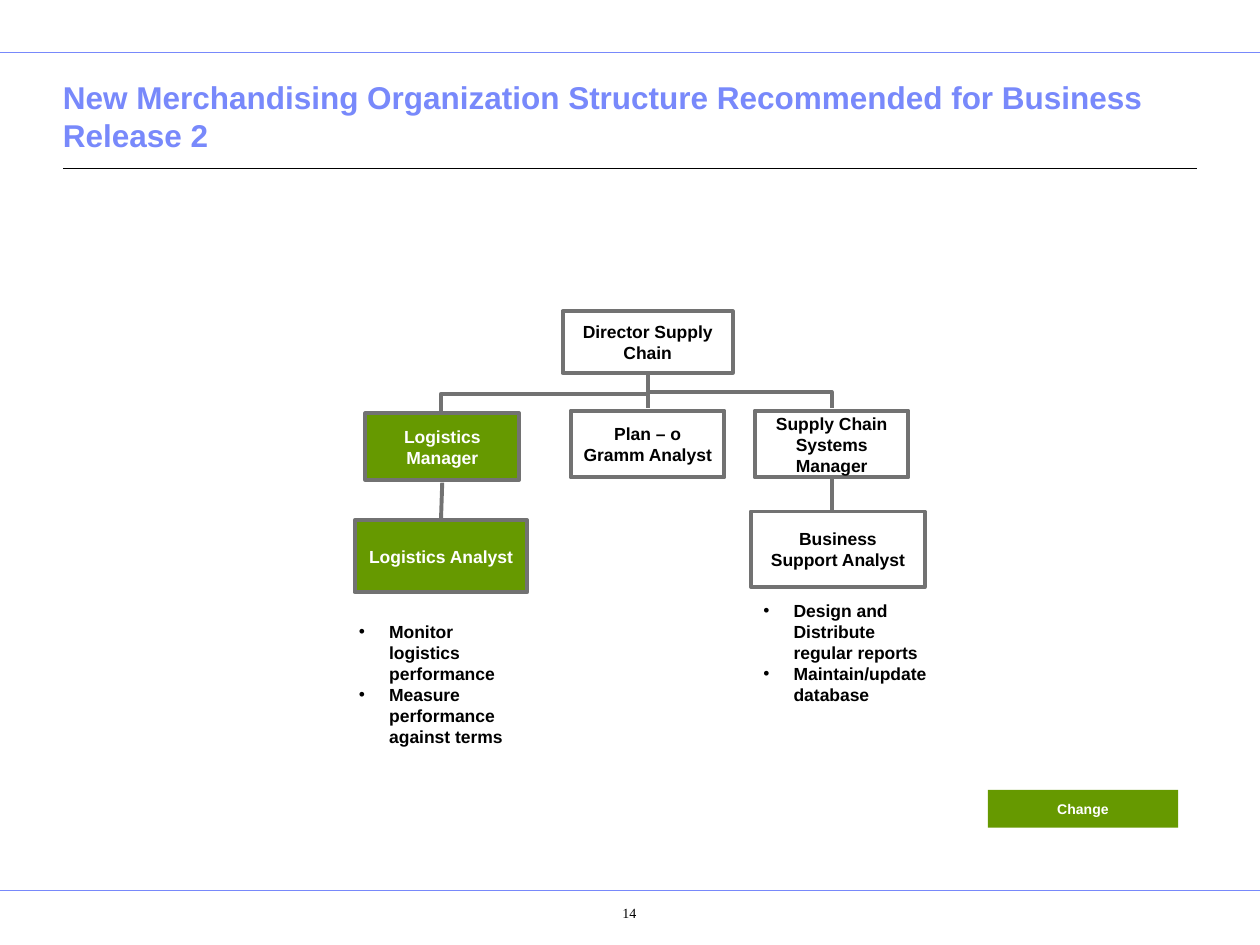
from dataclasses import dataclass

from lxml.etree import SubElement
from pptx import Presentation
from pptx.dml.color import RGBColor
from pptx.enum.shapes import MSO_CONNECTOR as CONN, MSO_SHAPE as SHAPE
from pptx.enum.text import MSO_ANCHOR as ANCHOR, PP_ALIGN as ALIGN
from pptx.oxml.ns import qn
from pptx.util import Inches, Pt


@dataclass(frozen=True)
class Theme:
    accent: str = "7889FB"
    changed: str = "669900"
    border: str = "727272"
    dark: str = "000000"
    light: str = "FFFFFF"
    font: str = "Arial"
    number_font: str = "Times New Roman"
    title_size: int = 18
    body_size: int = 10
    small_size: int = 8
    border_width: float = 2.25


T = Theme()
WIDTH, HEIGHT = 10, 7.5
MARGIN = 0.05 * WIDTH
INSETS = (0.1, 0.05, 0.1, 0.05)
BULLET_INDENT = 0.24

TITLE = "New Merchandising Organization Structure Recommended for Business Release 2"
PAGE_NUMBER = "14"

# Column centres of the chart
LEFT, MIDDLE, RIGHT = 3.5, 5.14, 6.6
MANAGER_SIZE = (1.22, 0.53)

# name: (centre x, top, (width, height), changed)
BOXES = {
    "Director Supply Chain": (MIDDLE, 2.47, (1.35, 0.49), False),
    "Logistics Manager": (LEFT + 0.01, 3.28, MANAGER_SIZE, True),
    "Plan – o Gramm Analyst": (MIDDLE, 3.26, MANAGER_SIZE, False),
    "Supply Chain Systems Manager": (RIGHT, 3.26, MANAGER_SIZE, False),
    "Logistics Analyst": (LEFT, 4.13, (1.37, 0.57), True),
    "Business Support Analyst": (RIGHT + 0.05, 4.06, (1.38, 0.6), False),
}
# (from x, from y, to x, to y)
ELBOWS = [
    (MIDDLE, 2.98, RIGHT, 3.24),
    (MIDDLE, 2.98, LEFT, 3.27),
]
STRAIGHTS = [
    (MIDDLE, 2.98, MIDDLE, 3.24),
    (LEFT + 0.01, 3.83, LEFT, 4.12),
    (RIGHT, 3.8, RIGHT, 4.05),
]
# (left, top, bullet points)
DUTIES = [
    (5.96, 4.71, ["Design and Distribute regular reports", "Maintain/update database"]),
    (2.75, 4.88, ["Monitor logistics performance", "Measure performance against terms"]),
]
DUTIES_SIZE = (1.51, 0.94)
# (left, y, right, colour, width)
RULES = [
    (0, 0.42, WIDTH, T.accent, 0.5),
    (0, 7.07, WIDTH, T.accent, 0.5),
    (MARGIN, 1.34, WIDTH - MARGIN, T.dark, 0.75),
]


def rgb(color):
    return RGBColor.from_string(color)


def write(sp, lines, size, color=T.dark, font=T.font, bold=True,
          align=ALIGN.LEFT, anchor=ANCHOR.TOP, insets=INSETS, bullets=False):
    tf = sp.text_frame
    tf.word_wrap = True
    tf.vertical_anchor = anchor
    tf.margin_left, tf.margin_top, tf.margin_right, tf.margin_bottom = map(Inches, insets)
    tf.text = "\n".join(lines)
    for p in tf.paragraphs:
        p.alignment = align
        if bullets:
            add_bullet(p)
        for r in p.runs:
            r.font.name, r.font.size, r.font.bold = font, Pt(size), bold
            r.font.color.rgb = rgb(color)


def add_bullet(p):
    pPr = p._p.get_or_add_pPr()
    pPr.set("marL", str(Inches(BULLET_INDENT)))
    pPr.set("indent", str(-Inches(BULLET_INDENT)))
    color = SubElement(pPr, qn("a:buClr"))
    SubElement(color, qn("a:srgbClr")).set("val", T.dark)
    SubElement(pPr, qn("a:buFont")).set("typeface", T.font)
    SubElement(pPr, qn("a:buChar")).set("char", "•")


def add_text(slide, place, lines, size, **style):
    sp = slide.shapes.add_textbox(*map(Inches, place))
    write(sp, lines, size, **style)


def add_box(slide, place, text, size, changed, bordered=True):
    sp = slide.shapes.add_shape(SHAPE.RECTANGLE, *map(Inches, place))
    sp.shadow.inherit = False
    if changed:
        sp.fill.solid()
        sp.fill.fore_color.rgb = rgb(T.changed)
    else:
        sp.fill.background()
    if bordered:
        sp.line.color.rgb = rgb(T.border)
        sp.line.width = Pt(T.border_width)
    else:
        sp.line.fill.background()
    write(sp, [text], size, color=T.light if changed else T.dark,
          align=ALIGN.CENTER, anchor=ANCHOR.MIDDLE)


def add_line(slide, ends, color=T.border, width=T.border_width, kind=CONN.STRAIGHT):
    line = slide.shapes.add_connector(kind, *map(Inches, ends))
    line.line.color.rgb = rgb(color)
    line.line.width = Pt(width)
    SubElement(line._element.spPr, qn("a:effectLst"))
    return line


def add_elbow(slide, x1, y1, x2, y2):
    """Draw an elbow that leaves and arrives vertically, by turning a horizontal one."""
    half_w, half_h = (y2 - y1) / 2, abs(x2 - x1) / 2
    cx, cy = (x1 + x2) / 2, (y1 + y2) / 2
    side = -1 if x2 > x1 else 1
    ends = (cx - side * half_w, cy - half_h, cx + side * half_w, cy + half_h)
    add_line(slide, ends, kind=CONN.ELBOW).rotation = 90 * side % 360


def main():
    prs = Presentation()
    prs.slide_width, prs.slide_height = Inches(WIDTH), Inches(HEIGHT)
    slide = prs.slides.add_slide(prs.slide_layouts[6])

    for left, y, right, color, width in RULES:
        add_line(slide, (left, y, right, y), color, width)
    add_text(slide, (MARGIN, 0.64, WIDTH - 2 * MARGIN, 0.63), [TITLE], T.title_size,
             color=T.accent, anchor=ANCHOR.BOTTOM, insets=(0, 0.05, 0, 0.05))

    for ends in STRAIGHTS:
        add_line(slide, ends)
    for ends in ELBOWS:
        add_elbow(slide, *ends)
    for name, (center, top, (w, h), changed) in BOXES.items():
        add_box(slide, (center - w / 2, top, w, h), name, T.body_size, changed)
    for left, top, points in DUTIES:
        add_text(slide, (left, top, *DUTIES_SIZE), points, T.body_size, bullets=True)

    add_box(slide, (7.84, 6.27, 1.51, 0.3), "Change", T.small_size, True, bordered=False)
    add_text(slide, (4.27, 7.11, 1.15, 0.35), [PAGE_NUMBER], T.small_size,
             font=T.number_font, bold=False, align=ALIGN.CENTER,
             insets=(0.4, 0.07, 0.1, 0.05))
    prs.save("out.pptx")


if __name__ == "__main__":
    main()
